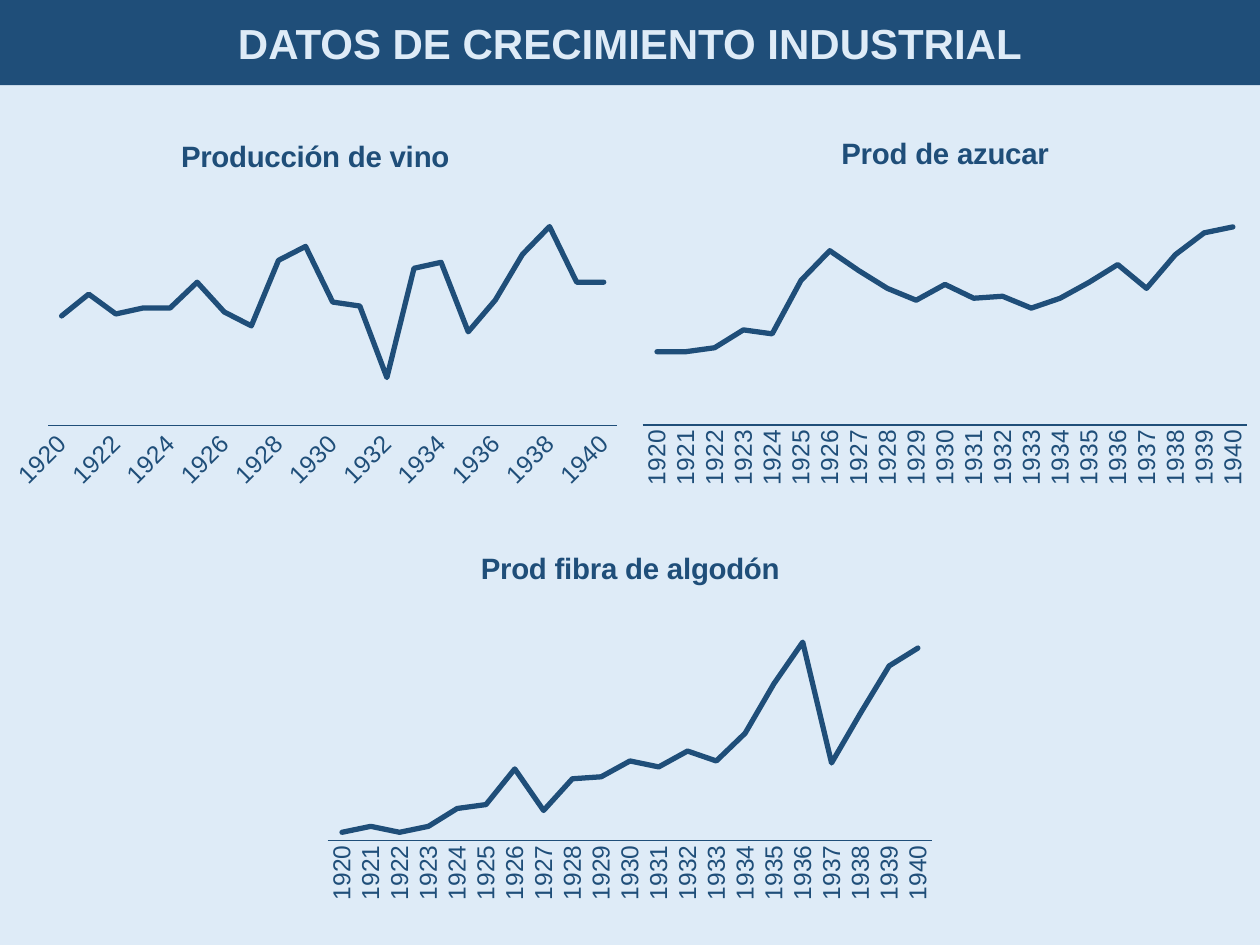
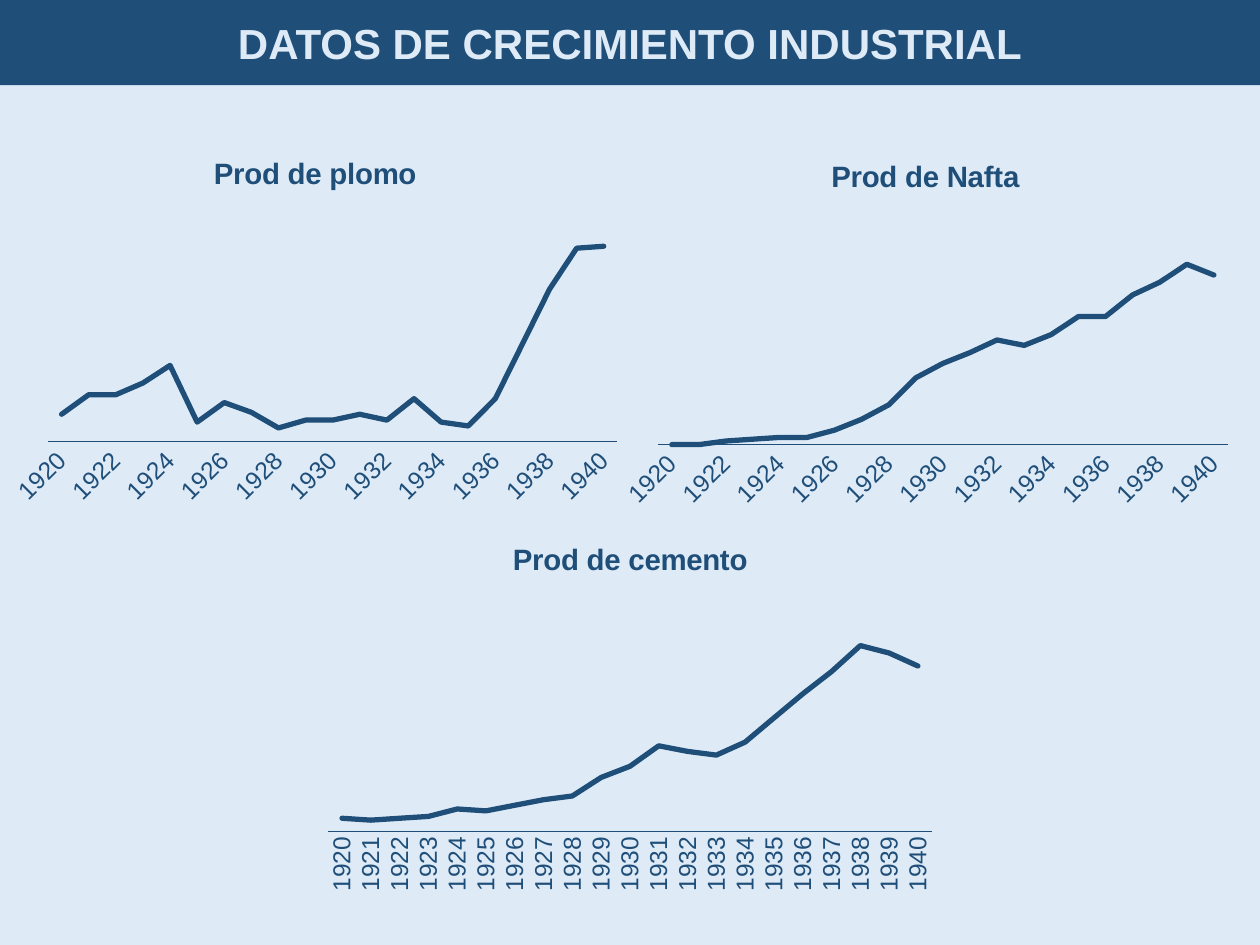
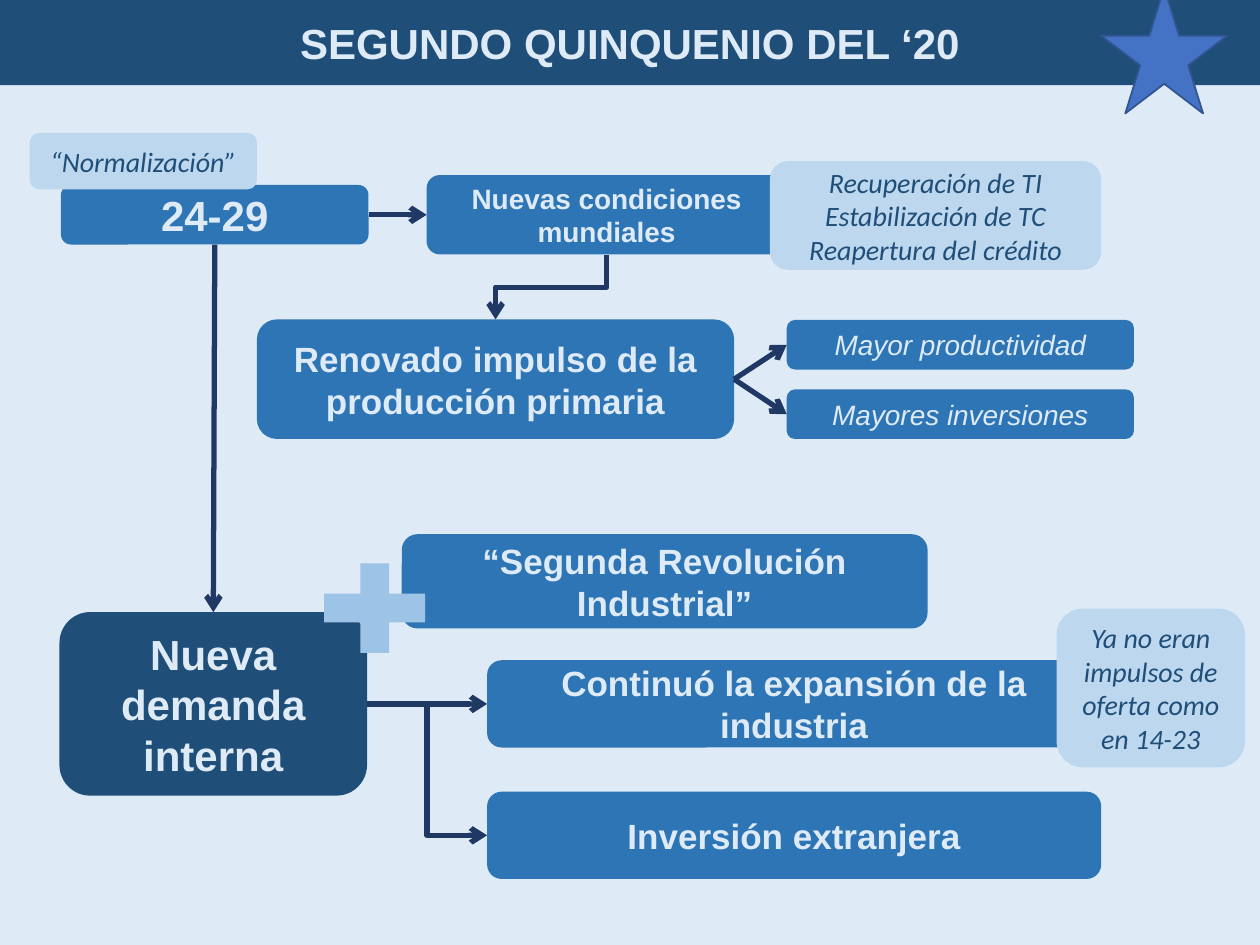
from lxml import etree
from pptx import Presentation
from pptx import util as u
from pptx.chart.data import CategoryChartData
from pptx.dml.color import RGBColor
from pptx.enum import chart as ch, shapes, text
from pptx.oxml.ns import qn

NAVY = RGBColor(0x1F, 0x4E, 0x79)
BLUE = RGBColor(0x2E, 0x75, 0xB6)
PALE = RGBColor(0xBD, 0xD7, 0xEE)
SKY = RGBColor(0x9D, 0xC3, 0xE6)
MIST = RGBColor(0xDE, 0xEB, 0xF7)
INK = RGBColor(0x20, 0x38, 0x64)
STAR = RGBColor(0x44, 0x72, 0xC4)
STAR_EDGE = RGBColor(0x32, 0x54, 0x91)

YEARS = [str(year) for year in range(1920, 1941)]
TOP, LEFT, BOTTOM, RIGHT = range(4)
CHART_W, CHART_H = 12.7, 7.62
AUTO, UPRIGHT = -1000, -90

INDUSTRY = "DATOS DE CRECIMIENTO INDUSTRIAL"
CHART_SLIDES = [
    [
        ("Prod fibra de algodón", 6.35, 10.69, UPRIGHT, 120,
         [4, 7, 4, 7, 16, 18, 36, 15, 31, 32, 40, 37, 45, 40, 54, 79, 100, 39, 64, 88, 97]),
        ("Prod de azucar", 12.7, 2.32, UPRIGHT, 120,
         [37, 37, 39, 48, 46, 73, 88, 78, 69, 63, 71, 64, 65, 59, 64, 72, 81, 69, 86, 97, 100]),
        ("Producción de vino", 0, 2.39, AUTO, 118,
         [55, 66, 56, 59, 59, 72, 57, 50, 83, 90, 62, 60, 24, 79, 82, 47, 63, 86, 100, 72, 72]),
    ],
    [
        ("Prod de plomo", 0, 2.72, AUTO, 120,
         [14, 24, 24, 30, 39, 10, 20, 15, 7, 11, 11, 14, 11, 22, 10, 8, 22, 50, 78, 99, 100]),
        ("Prod de Nafta", 12.3, 2.78, AUTO, 130,
         [0, 0, 2, 3, 4, 4, 8, 14, 22, 37, 45, 51, 58, 55, 61, 71, 71, 83, 90, 100, 94]),
        ("Prod de cemento", 6.35, 10.51, UPRIGHT, 128,
         [7, 6, 7, 8, 12, 11, 14, 17, 19, 29, 35, 46, 43, 41, 48, 61, 74, 86, 100, 96, 89]),
    ],
]


def set_font(font, size, color, name="Arial", bold=False, italic=False):
    font.size, font.name = u.Pt(size), name
    font.bold, font.italic = bold, italic
    font.color.rgb = color


def write(tf, content, **fmt):
    for i, line in enumerate(content.split("\n")):
        p = tf.add_paragraph() if i else tf.paragraphs[0]
        p.alignment = text.PP_ALIGN.CENTER
        r = p.add_run()
        r.text = line
        set_font(r.font, **fmt)


class Deck:
    def __init__(self):
        self.prs = Presentation()
        self.prs.slide_width, self.prs.slide_height = u.Cm(25.4), u.Cm(19.05)
        fill = self.prs.slide_master.background.fill
        fill.solid()
        fill.fore_color.rgb = MIST
        self.s = None

    def slide(self, title):
        self.s = self.prs.slides.add_slide(self.prs.slide_layouts[6])
        band = self.shape("RECTANGLE", 0, 0, 25.4, 1.72, NAVY)
        write(band.text_frame, title, size=24, color=MIST, bold=True)

    def shape(self, kind, x, y, w, h, fill, edge=None):
        sp = self.s.shapes.add_shape(
            getattr(shapes.MSO_SHAPE, kind), u.Cm(x), u.Cm(y), u.Cm(w), u.Cm(h))
        sp.shadow.inherit = False
        sp.fill.solid()
        sp.fill.fore_color.rgb = fill
        if edge is None:
            sp.line.fill.background()
        else:
            sp.line.color.rgb = edge
            sp.line.width = u.Pt(1)
        sp.text_frame.word_wrap = True
        sp.text_frame.vertical_anchor = text.MSO_ANCHOR.MIDDLE
        return sp

    def box(self, content, x, y, w, h, size, fill=BLUE, italic=False):
        sp = self.shape("ROUNDED_RECTANGLE", x, y, w, h, fill)
        write(sp.text_frame, content, size=size, color=MIST, bold=not italic, italic=italic)
        return sp

    def note(self, content, x, y, w, h):
        sp = self.shape("ROUNDED_RECTANGLE", x, y, w, h, PALE)
        write(sp.text_frame, content, size=16, color=NAVY, name="Calibri", italic=True)

    def arrow(self, kind="STRAIGHT", ends=(0, 0, 0, 0)):
        c = self.s.shapes.add_connector(
            getattr(shapes.MSO_CONNECTOR, kind), *map(u.Cm, ends))
        c.line.color.rgb = INK
        c.line.width = u.Pt(3)
        sp_pr = c._element.spPr
        etree.SubElement(sp_pr.find(qn("a:ln")), qn("a:tailEnd"), type="arrow")
        etree.SubElement(sp_pr, qn("a:effectLst"))
        return c

    def join(self, start, side, end, end_side, kind="STRAIGHT"):
        c = self.arrow(kind)
        c.begin_connect(start, side)
        c.end_connect(end, end_side)

    def line_chart(self, title, x, y, angle, maximum, values):
        data = CategoryChartData()
        data.categories = YEARS
        data.add_series(title, values)
        chart = self.s.shapes.add_chart(
            ch.XL_CHART_TYPE.LINE, u.Cm(x), u.Cm(y), u.Cm(CHART_W), u.Cm(CHART_H), data).chart
        set_font(chart.font, 14, NAVY)
        chart.has_legend = False
        chart.has_title = True
        write(chart.chart_title.text_frame, title, size=16.8, color=NAVY, bold=True)
        chart.chart_title.include_in_layout = False
        chart.plots[0].vary_by_categories = False

        series = chart.plots[0].series[0]
        series.smooth = False
        series.format.line.color.rgb = NAVY
        series.format.line.width = u.Pt(3)

        years = chart.category_axis
        years.major_tick_mark = years.minor_tick_mark = ch.XL_TICK_MARK.NONE
        years.has_major_gridlines = False
        years.format.line.color.rgb = NAVY
        years.format.line.width = u.Pt(0.75)
        set_font(years.tick_labels.font, 14, NAVY)

        scale = chart.value_axis
        scale.minimum_scale, scale.maximum_scale = 0, maximum
        scale.has_major_gridlines = False
        scale.tick_labels.number_format = "#.##00\\ \\ "
        scale.tick_labels.number_format_is_linked = False
        scale.visible = False

        root = chart.element
        root.xpath("//c:ser/c:spPr/a:ln")[0].set("cap", "rnd")
        root.xpath("//c:catAx/c:txPr/a:bodyPr")[0].set("rot", str(angle * 60000))


def second_half(deck):
    deck.slide("SEGUNDO QUINQUENIO DEL ‘20")
    period = deck.box("24-29", 1.23, 3.73, 6.2, 1.2, 24)
    world = deck.box("Nuevas condiciones mundiales", 8.6, 3.53, 7.26, 1.6, 16)
    primary = deck.box("Renovado impulso de la producción primaria", 5.18, 6.44, 9.62, 2.41, 20)
    deck.join(period, RIGHT, world, LEFT)
    deck.note("Recuperación de TI\nEstabilización de TC\nReapertura del crédito",
              15.52, 3.25, 6.68, 2.19)
    for i, effect in enumerate(("Mayor productividad", "Mayores inversiones")):
        result = deck.box(effect, 15.86, 6.45 + 1.4 * i, 7, 1, 16, italic=True)
        deck.join(primary, RIGHT, result, LEFT)
    deck.note("“Normalización”", 0.6, 2.68, 4.58, 1.14)

    demand = deck.box("Nueva demanda interna", 1.2, 12.34, 6.2, 3.7, 24, fill=NAVY)
    deck.join(period, BOTTOM, demand, TOP)
    deck.box("“Segunda Revolución Industrial”", 8.1, 10.77, 10.6, 1.9, 20)
    growth = deck.box("Continuó la expansión de la industria", 9.82, 13.31, 12.38, 1.76, 20)
    deck.join(demand, RIGHT, growth, LEFT)
    deck.note("Ya no eran impulsos de oferta como en 14-23", 21.3, 12.27, 3.8, 3.2)
    foreign = deck.box("Inversión extranjera", 9.82, 15.96, 12.38, 1.76, 20)
    deck.join(demand, RIGHT, foreign, LEFT, "ELBOW")

    turn = deck.arrow("ELBOW", (10.46, 4.67, 11.76, 6.91))
    turn._element.spPr.xfrm.set("rot", str(90 * 60000))
    deck.shape("MATH_PLUS", 6.17, 11.03, 2.77, 2.46, SKY)
    deck.shape("STAR_5_POINT", 22.2, -0.25, 2.54, 2.54, STAR, STAR_EDGE)


def main():
    deck = Deck()
    for charts in CHART_SLIDES:
        deck.slide(INDUSTRY)
        for chart in charts:
            deck.line_chart(*chart)
    second_half(deck)
    deck.prs.save("out.pptx")


if __name__ == "__main__":
    main()
